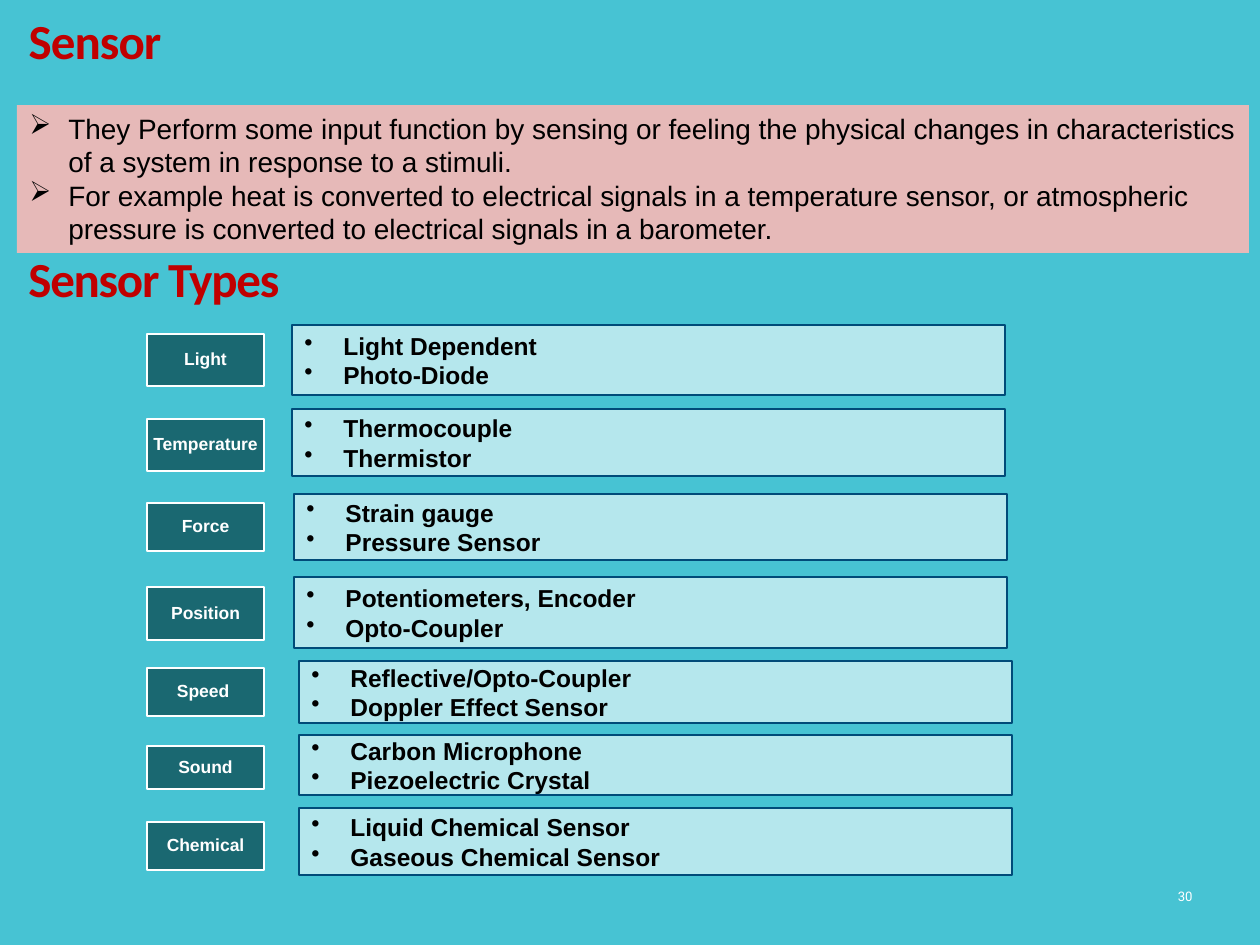
from dataclasses import dataclass

from lxml import etree
from pptx import Presentation
from pptx import util as u
from pptx.dml.color import RGBColor
from pptx.enum import shapes, text
from pptx.oxml.ns import qn

PX_PER_INCH = 126


@dataclass(frozen=True)
class Theme:
    background: str = "47C3D3"
    heading: str = "C00000"
    intro_fill: str = "E6B9B8"
    label_fill: str = "1A6871"
    examples_fill: str = "B5E7ED"
    examples_line: str = "004B79"
    light: str = "FFFFFF"
    dark: str = "000000"
    heading_font: str = "Calibri"
    body_font: str = "Arial"
    number_font: str = "Roboto"
    heading_size: float = 28
    intro_size: float = 16
    examples_size: float = 14
    label_size: float = 10
    number_size: float = 7.5


@dataclass(frozen=True)
class Box:
    left: int
    top: int
    width: int
    height: int

    def emu(self) -> list[int]:
        return [px(n) for n in (self.left, self.top, self.width, self.height)]


@dataclass(frozen=True)
class SensorType:
    name: str
    examples: tuple[str, ...]
    label_top: int
    label_height: int
    examples_left: int
    examples_top: int
    examples_height: int


THEME = Theme()
LABEL_LEFT, LABEL_WIDTH = 147, 117
EXAMPLES_WIDTH = 713
BULLET_INDENT = 39

INTRO = (
    "They Perform some input function by sensing or feeling the physical changes "
    "in characteristics of a system in response to a stimuli.",
    "For example heat is converted to electrical signals in a temperature sensor, "
    "or atmospheric pressure is converted to electrical signals in a barometer.",
)
SENSOR_TYPES = (
    SensorType("Light", ("Light Dependent", "Photo-Diode"), 334, 52, 292, 325, 70),
    SensorType("Temperature", ("Thermocouple", "Thermistor"), 419, 52, 292, 409, 67),
    SensorType("Force", ("Strain gauge", "Pressure Sensor"), 503, 48, 294, 494, 66),
    SensorType("Position", ("Potentiometers, Encoder", "Opto-Coupler"), 587, 53, 294, 577, 71),
    SensorType("Speed ", ("Reflective/Opto-Coupler", "Doppler Effect Sensor"), 668, 48, 299, 661, 62),
    SensorType("Sound", ("Carbon Microphone", "Piezoelectric Crystal"), 746, 43, 299, 735, 60),
    SensorType("Chemical", ("Liquid Chemical Sensor", "Gaseous Chemical Sensor"), 822, 48, 299, 808, 67),
)


def px(length: int) -> u.Emu:
    return u.Emu(round(length * 914400 / PX_PER_INCH))


def color(value: str) -> RGBColor:
    return RGBColor.from_string(value)


def style(paragraph, font: str, size: float, ink: str, bold: bool = False) -> None:
    for run in paragraph.runs:
        run.font.name = font
        run.font.size = u.Pt(size)
        run.font.bold = bold
        run.font.color.rgb = color(ink)


def add_panel(slide, box: Box, fill: str, line: str | None = None):
    panel = slide.shapes.add_shape(shapes.MSO_SHAPE.RECTANGLE, *box.emu())
    panel.shadow.inherit = False
    panel.fill.solid()
    panel.fill.fore_color.rgb = color(fill)
    if line:
        panel.line.color.rgb = color(line)
        panel.line.width = u.Pt(1)
    else:
        panel.line.fill.background()
    panel.text_frame.word_wrap = True
    return panel


def write_bullets(frame, items: tuple[str, ...], mark: str, size: float, bold: bool) -> None:
    frame.text = "\n".join(items)
    for paragraph in frame.paragraphs:
        paragraph.alignment = text.PP_ALIGN.LEFT
        properties = paragraph._p.get_or_add_pPr()
        properties.set("marL", str(px(BULLET_INDENT)))
        properties.set("indent", str(-px(BULLET_INDENT)))
        etree.SubElement(properties, qn("a:buChar")).set("char", mark)
        style(paragraph, THEME.body_font, size, THEME.dark, bold)


def write_heading(shape, words: str, tracking: int) -> None:
    frame = shape.text_frame
    frame.word_wrap = True
    frame.vertical_anchor = text.MSO_ANCHOR.TOP
    frame.text = words
    heading = frame.paragraphs[0]
    heading.alignment = text.PP_ALIGN.LEFT
    style(heading, THEME.heading_font, THEME.heading_size, THEME.heading, True)
    heading.runs[0].font._element.set("spc", str(tracking))


def add_sensor_type(slide, sensor: SensorType) -> None:
    label = add_panel(
        slide,
        Box(LABEL_LEFT, sensor.label_top, LABEL_WIDTH, sensor.label_height),
        THEME.label_fill,
        THEME.light,
    )
    frame = label.text_frame
    frame.margin_left = frame.margin_right = frame.margin_top = frame.margin_bottom = px(1)
    frame.text = sensor.name
    name = frame.paragraphs[0]
    name.alignment = text.PP_ALIGN.CENTER
    name.line_spacing = 0.9
    style(name, THEME.body_font, THEME.label_size, THEME.light, True)

    examples = add_panel(
        slide,
        Box(sensor.examples_left, sensor.examples_top, EXAMPLES_WIDTH, sensor.examples_height),
        THEME.examples_fill,
        THEME.examples_line,
    )
    write_bullets(examples.text_frame, sensor.examples, "•", THEME.examples_size, True)


def main() -> None:
    deck = Presentation()
    deck.slide_width, deck.slide_height = px(1260), px(945)
    slide = deck.slides.add_slide(deck.slide_layouts[5])
    slide.background.fill.solid()
    slide.background.fill.fore_color.rgb = color(THEME.background)

    # Title
    title = slide.shapes.title
    title.left, title.top, title.width, title.height = Box(16, 11, 1252, 72).emu()
    write_heading(title, "Sensor", -50)
    title.text_frame.paragraphs[0].line_spacing = 0.9

    # Page number
    number = slide.shapes.add_textbox(*Box(1163, 871, 42, 50).emu())
    number.text_frame.word_wrap = True
    number.text_frame.vertical_anchor = text.MSO_ANCHOR.MIDDLE
    number.text_frame.text = "30"
    page = number.text_frame.paragraphs[0]
    page.alignment = text.PP_ALIGN.RIGHT
    style(page, THEME.number_font, THEME.number_size, THEME.light)

    # Sensor types with their examples
    for sensor in SENSOR_TYPES:
        add_sensor_type(slide, sensor)

    # Definition
    intro = add_panel(slide, Box(17, 105, 1232, 148), THEME.intro_fill)
    intro.text_frame.vertical_anchor = text.MSO_ANCHOR.TOP
    write_bullets(intro.text_frame, INTRO, "➢", THEME.intro_size, False)

    # Second heading
    types_heading = slide.shapes.add_textbox(*Box(16, 242, 750, 72).emu())
    write_heading(types_heading, "Sensor Types", -70)

    deck.save("out.pptx")


if __name__ == "__main__":
    main()
